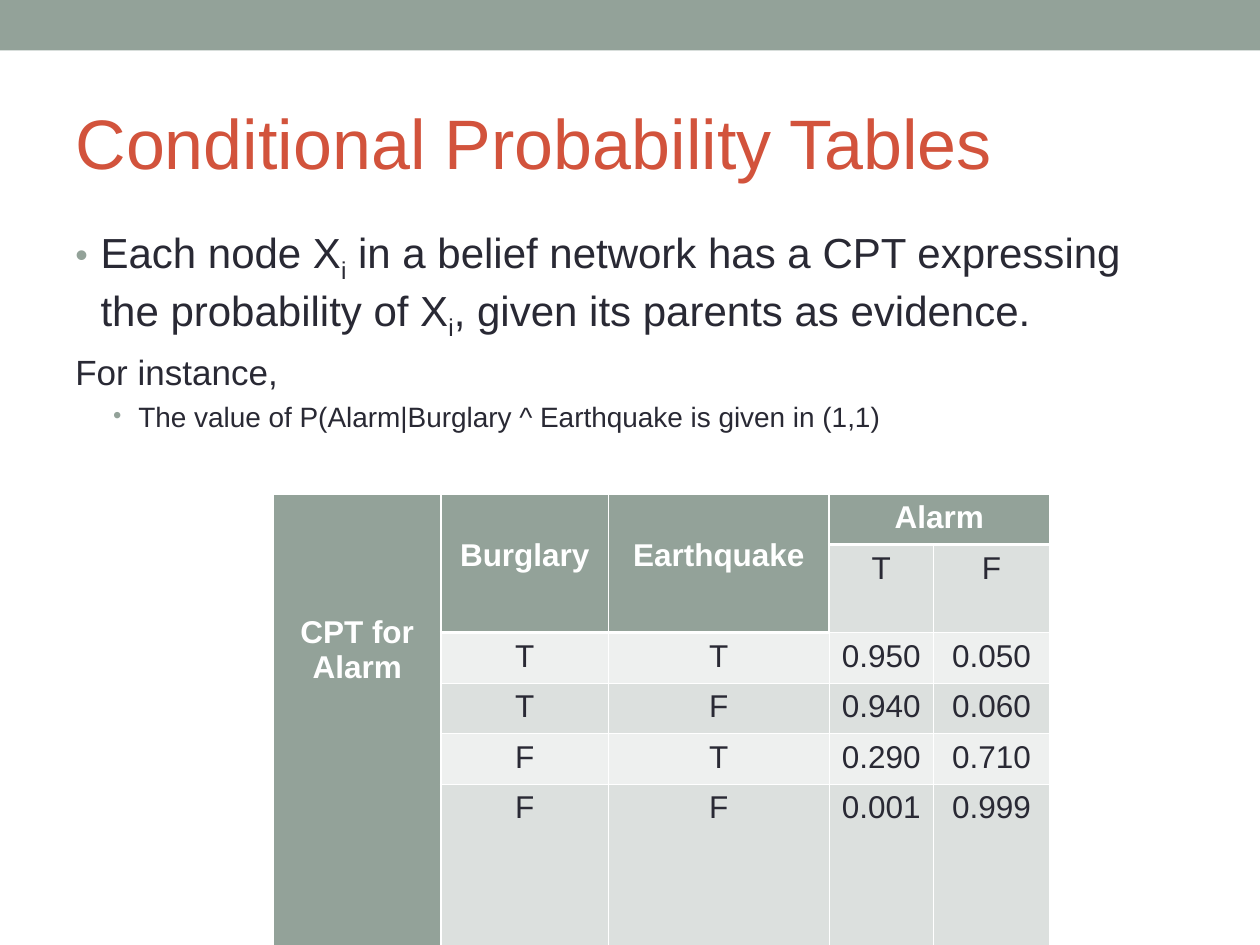
"""Build the slide on conditional probability tables."""
from dataclasses import dataclass

from lxml import etree
from pptx import Presentation
from pptx import util as u
from pptx.dml.color import RGBColor
from pptx.enum import shapes, text
from pptx.oxml import ns

SAGE = RGBColor(0x93, 0xA2, 0x99)
RUST = RGBColor(0xD2, 0x53, 0x3C)
INK = RGBColor(0x29, 0x29, 0x34)
WHITE = RGBColor(0xFF, 0xFF, 0xFF)
BANDS = (RGBColor(0xEE, 0xF0, 0xEF), RGBColor(0xDC, 0xE0, 0xDE))
WIDTH, HEIGHT = u.Inches(10), u.Inches(7.5)
THIN, THICK = u.Pt(0.45), u.Pt(1.47)
COLUMNS = (1.33, 1.33, 1.75, 0.83, 0.92)
ROWS = (0.4, 0.7, 0.4, 0.4, 0.4, 1.6)


@dataclass
class Line:
    """A body paragraph; every second phrase is a subscript."""

    phrases: tuple
    size: int
    before: int
    left: float
    level: int = 0
    bullet: bool = True


@dataclass
class Header:
    """A table header cell, merged down and across."""

    label: str
    column: int
    down: int
    across: int
    top: float


LINES = (
    Line(("Each node X", "i", " in a belief network has a CPT expressing the probability of X",
          "i", ", given its parents as evidence."), 24, 0, 0.2),
    Line(("For instance,",), 20, 5, 0.2, bullet=False),
    Line(("The value of P(Alarm|Burglary ^ Earthquake is given in (1,1)",), 16, 4, 0.5, level=1),
)
HEADERS = (
    Header("CPT for Alarm", 0, 6, 1, 0.96),
    Header("Burglary", 1, 2, 1, 0.35),
    Header("Earthquake", 2, 2, 1, 0.35),
    Header("Alarm", 3, 1, 2, 0.05),
)
VALUES = (
    (1, 3, ("T", "F")),
    (2, 1, ("T", "T", "0.950", "0.050")),
    (3, 1, ("T", "F", "0.940", "0.060")),
    (4, 1, ("F", "T", "0.290", "0.710")),
    (5, 1, ("F", "F", "0.001", "0.999")),
)


def apply(target, values: dict) -> None:
    """Set attributes from a dict of format values."""
    for name, value in values.items():
        setattr(target, name, value)


def style(font, size: int, color: RGBColor, bold: bool = False) -> None:
    """Format a font."""
    apply(font, {"name": "Arial", "size": u.Pt(size), "bold": bold})
    font.color.rgb = color


def add_node(parent, tag: str, **values: str):
    """Append a drawing element."""
    return etree.SubElement(parent, ns.qn(tag), values)


def write_line(para, line: Line) -> None:
    """Write one body paragraph."""
    props = para._p.get_or_add_pPr()
    props.set("marL", str(u.Inches(line.left)))
    props.set("indent", str(u.Inches(-0.2)))
    if line.bullet:
        add_node(add_node(props, "a:buClr"), "a:srgbClr", val=str(SAGE))
        add_node(props, "a:buSzPct", val="85000")
        add_node(props, "a:buFont", typeface="Arial")
        add_node(props, "a:buChar", char="•")
    else:
        add_node(props, "a:buNone")
    apply(para, {"level": line.level, "space_before": u.Pt(line.before)})
    for index, phrase in enumerate(line.phrases):
        span = para.add_run()
        span.text = phrase
        style(span.font, line.size, INK)
        if index % 2:
            span._r.get_or_add_rPr().set("baseline", "-25000")


def is_header(row: int, column: int) -> bool:
    """Tell whether a grid position belongs to a header."""
    return column == 0 or row == 0 or (row == 1 and column < 3)


def right_edge(row: int, column: int) -> int:
    """Give the width of the line to the right of a cell."""
    return THICK if column == 0 or (column == 2 and row < 2) else THIN


def bottom_edge(row: int, column: int) -> int:
    """Give the width of the line below a cell."""
    return THICK if row >= 0 and is_header(row, column) else THIN


def paint_cell(cell, row: int, column: int) -> None:
    """Fill a cell and draw its borders."""
    cell.fill.solid()
    cell.fill.fore_color.rgb = SAGE if is_header(row, column) else BANDS[row % 2]
    props = cell._tc.get_or_add_tcPr()
    edges = {"L": right_edge(row, column - 1), "R": right_edge(row, column),
             "T": bottom_edge(row - 1, column), "B": bottom_edge(row, column)}
    for index, (side, width) in enumerate(edges.items()):
        border = etree.Element(ns.qn(f"a:ln{side}"), w=str(width))
        add_node(add_node(border, "a:solidFill"), "a:srgbClr", val=str(WHITE))
        props.insert(index, border)


def write_cell(cell, label: str, color: RGBColor, bold: bool, top: float = 0.05) -> None:
    """Write a centred label in a cell."""
    cell.margin_top = u.Inches(top)
    para = cell.text_frame.paragraphs[0]
    para.alignment = text.PP_ALIGN.CENTER
    span = para.add_run()
    span.text = label
    style(span.font, 18, color, bold)


def add_probabilities(page) -> None:
    """Add the conditional probability table."""
    table = page.shapes.add_table(
        len(ROWS), len(COLUMNS), u.Inches(2.17), u.Inches(3.92),
        u.Inches(sum(COLUMNS)), u.Inches(sum(ROWS))).table
    apply(table, {"first_row": False, "horz_banding": False})
    for column, width in zip(table.columns, COLUMNS):
        column.width = u.Inches(width)
    for index, height in enumerate(ROWS):
        table.rows[index].height = u.Inches(height)
        for column in range(len(COLUMNS)):
            paint_cell(table.cell(index, column), index, column)
    for header in HEADERS:
        cell = table.cell(0, header.column)
        cell.merge(table.cell(header.down - 1, header.column + header.across - 1))
        write_cell(cell, header.label, WHITE, True, header.top)
    for row, start, labels in VALUES:
        for column, label in enumerate(labels, start):
            write_cell(table.cell(row, column), label, INK, False)


def main() -> None:
    """Build and save the deck."""
    deck = Presentation()
    apply(deck, {"slide_width": WIDTH, "slide_height": HEIGHT})
    page = deck.slides.add_slide(deck.slide_layouts[5])

    band = page.shapes.add_shape(shapes.MSO_SHAPE.RECTANGLE, 0, 0, WIDTH, u.Inches(0.4))
    band.shadow.inherit = False
    band.fill.solid()
    band.fill.fore_color.rgb = SAGE
    band.line.fill.background()

    title = page.shapes.title
    apply(title, {"left": int(WIDTH * 0.05), "top": u.Inches(0.58),
                  "width": int(WIDTH * 0.9), "height": u.Inches(1.08)})
    title.text_frame.text = "Conditional Probability Tables"
    title.text_frame.vertical_anchor = text.MSO_ANCHOR.MIDDLE
    heading = title.text_frame.paragraphs[0]
    heading.alignment = text.PP_ALIGN.LEFT
    style(heading.runs[0].font, 40, RUST)

    box = page.shapes.add_textbox(int(WIDTH * 0.05), u.Inches(1.75),
                                  int(WIDTH * 0.9), u.Inches(5.33))
    frame = box.text_frame
    frame.word_wrap = True
    for index, line in enumerate(LINES):
        write_line(frame.add_paragraph() if index else frame.paragraphs[0], line)

    add_probabilities(page)
    deck.save("out.pptx")


if __name__ == "__main__":
    main()
